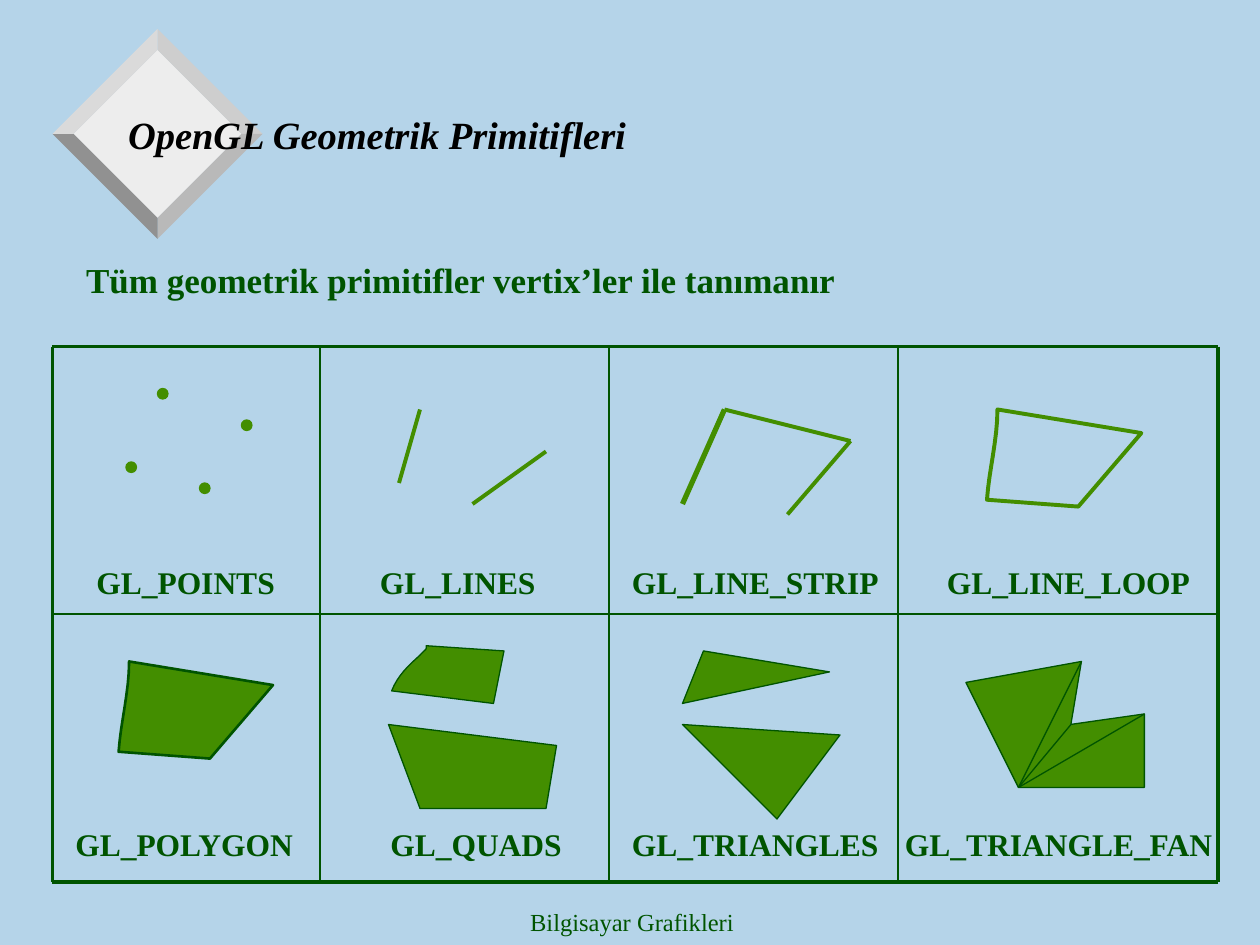
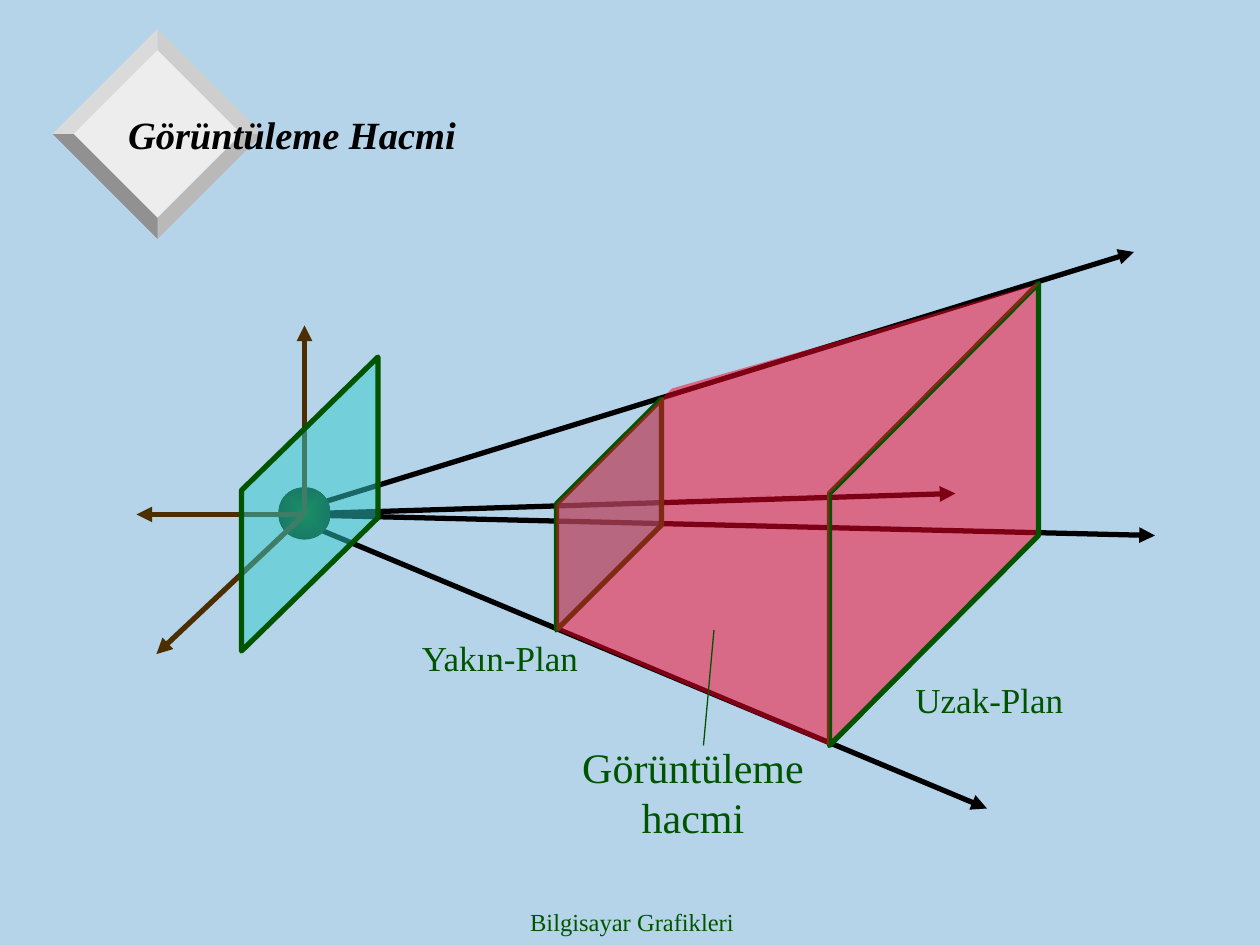
from dataclasses import dataclass

from lxml.etree import SubElement
from pptx import Presentation
from pptx.dml.color import RGBColor
from pptx.enum.shapes import MSO_CONNECTOR, MSO_SHAPE
from pptx.enum.text import MSO_ANCHOR, MSO_AUTO_SIZE, PP_ALIGN
from pptx.oxml.ns import qn
from pptx.util import Cm, Pt


@dataclass(frozen=True)
class Theme:
    """Colours, font and type sizes of the deck."""

    background: str = "B5D4E9"
    dark_green: str = "005400"
    deep_green: str = "002600"
    leaf: str = "438E00"
    black: str = "000000"
    brown: str = "4C2E00"
    turquoise: str = "33CCCC"
    red: str = "FC0128"
    diamond_face: str = "EDEDED"
    diamond_facets: tuple = ("CECECE", "B9B9B9", "919191", "DADADA")
    font: str = "Times New Roman"
    title: int = 22
    lead: int = 20
    caption: int = 18
    callout: int = 24
    footer: int = 14


THEME = Theme()
TITLE_LAYOUT, TITLE_BODY_LAYOUT = 5, 1
LEFT, CENTER = PP_ALIGN.LEFT, PP_ALIGN.CENTER


def grid(steps):
    """Return a length in grid steps, twelve to 2.54 cm."""
    return Cm(steps * 2.54 / 12)


def color(code):
    """Return the colour for a hex code."""
    return RGBColor.from_string(code)


def paint(shape, fill=None, line=None, width=0.75, opacity=None):
    """Set fill, outline and opacity of a shape and drop its shadow."""
    shape.shadow.inherit = False
    if fill:
        shape.fill.solid()
        shape.fill.fore_color.rgb = color(fill)
    else:
        shape.fill.background()
    if opacity:
        tint = shape.element.spPr.find(qn("a:solidFill"))[0]
        SubElement(tint, qn("a:alpha"), val=str(opacity * 1000))
    if line:
        shape.line.color.rgb = color(line)
        shape.line.width = Pt(width)
    else:
        shape.line.fill.background()


def outline(slide, points, **style):
    """Draw a closed outline through grid points."""
    corners = [(grid(x), grid(y)) for x, y in points]
    builder = slide.shapes.build_freeform(*corners[0])
    builder.add_line_segments(corners[1:], close=True)
    paint(builder.convert_to_shape(), **style)


def curve(start, pull_start, pull_end, end, pieces=8):
    """Return points along a cubic curve."""
    points = []
    for piece in range(pieces + 1):
        t = piece / pieces
        weights = ((1 - t) ** 3, 3 * t * (1 - t) ** 2, 3 * t * t * (1 - t), t ** 3)
        ends = zip(start, pull_start, pull_end, end)
        points.append(tuple(sum(w * v for w, v in zip(weights, axis)) for axis in ends))
    return points


def segment(slide, start, end, stroke, width, arrow=False):
    """Draw a straight line, with an arrowhead at its end if wanted."""
    ends = [grid(value) for value in (*start, *end)]
    connector = slide.shapes.add_connector(MSO_CONNECTOR.STRAIGHT, *ends)
    connector.line.color.rgb = color(stroke)
    connector.line.width = Pt(width)
    if arrow:
        SubElement(connector.line._get_or_add_ln(), qn("a:tailEnd"), type="triangle")
    SubElement(connector.element.spPr, qn("a:effectLst"))


def dot(slide, left, top, size):
    """Add a circle and return it."""
    return slide.shapes.add_shape(
        MSO_SHAPE.OVAL, grid(left), grid(top), grid(size), grid(size))


def write(frame, text, size, ink=THEME.dark_green, bold=False, italic=False, align=LEFT):
    """Write one formatted run into a text frame."""
    frame.word_wrap = True
    frame.auto_size = MSO_AUTO_SIZE.NONE
    paragraph = frame.paragraphs[0]
    paragraph.alignment = align
    paragraph.space_before = Pt(0)
    run = paragraph.add_run()
    run.text = text
    run.font.name = THEME.font
    run.font.size = Pt(size)
    run.font.bold = bold
    run.font.italic = italic
    run.font.color.rgb = color(ink)


def label(slide, text, box, size, **style):
    """Add a text box at a grid box of left, top, width and height."""
    write(slide.shapes.add_textbox(*map(grid, box)).text_frame, text, size, **style)


def place(placeholder, left, top, width, height):
    """Move a placeholder to a grid box."""
    placeholder.left, placeholder.top = grid(left), grid(top)
    placeholder.width, placeholder.height = grid(width), grid(height)


def diamond(slide):
    """Draw the bevelled diamond behind the title."""
    def tips(radius):
        return [(15 + dx * radius, 12.75 + dy * radius)
                for dx, dy in ((0, -1), (1, 0), (0, 1), (-1, 0))]

    inner, outer = tips(8), tips(10)
    outline(slide, inner, fill=THEME.diamond_face)
    for side, shade in enumerate(THEME.diamond_facets):
        following = (side + 1) % 4
        outline(slide, [inner[side], outer[side], outer[following], inner[following]],
                fill=shade)


def new_slide(deck, layout, heading):
    """Add a slide with the shared diamond, footer and title."""
    slide = deck.slides.add_slide(deck.slide_layouts[layout])
    diamond(slide)
    label(slide, "Bilgisayar Grafikleri", (41.2, 85.8, 38, 4.2), THEME.footer, align=CENTER)
    title = slide.shapes.title
    title.element.getparent().append(title.element)
    place(title, 11, 5.5, 102, 14.5)
    write(title.text_frame, heading, THEME.title, THEME.black, bold=True, italic=True)
    title.text_frame.vertical_anchor = MSO_ANCHOR.MIDDLE
    return slide


def lead_sentence(slide, text):
    """Fill the body placeholder with one sentence without a bullet."""
    body = slide.placeholders[1]
    place(body, 7, 24, 104, 10)
    properties = body.text_frame.paragraphs[0]._p.get_or_add_pPr()
    properties.set("marL", "0")
    properties.set("indent", "0")
    SubElement(properties, qn("a:buNone"))
    write(body.text_frame, text, THEME.lead, bold=True)


def ruled_frame(slide, columns, rows):
    """Rule a grid with heavy outer and thin inner lines."""
    def weight(position, positions):
        return 2.25 if position in (positions[0], positions[-1]) else 1

    for y in rows:
        segment(slide, (columns[0], y), (columns[-1], y), THEME.dark_green, weight(y, rows))
    for x in columns:
        segment(slide, (x, rows[0]), (x, rows[-1]), THEME.dark_green, weight(x, columns))


def open_primitives(slide):
    """Draw the points, the lines and the line strip."""
    for left, top in ((12, 44), (15, 37), (19, 46), (23, 40)):
        paint(dot(slide, left, top, 1), THEME.leaf, THEME.leaf)
    for start, end, width in (
        ((45, 48), (52, 43), 2.25),
        ((38, 46), (40, 39), 2.25),
        ((69, 39), (81, 42), 2.25),
        ((81, 42), (75, 49), 2.25),
        ((69, 39), (65, 48), 3),
    ):
        segment(slide, start, end, THEME.leaf, width)


def bent_quad(left, top):
    """Return the four-sided outline with a curved left side."""
    side = curve((0, 8.6), (0.2, 5.8), (1, 2.9), (1, 0))
    return [(left + x, top + y) for x, y in side + [(14.7, 2.25), (8.7, 9.25)]]


def filled_primitives(slide):
    """Draw the loop, polygon, quads, triangles and triangle fan."""
    outline(slide, bent_quad(94, 39), line=THEME.leaf, width=2.25)
    outline(slide, bent_quad(11.3, 63), fill=THEME.leaf, line=THEME.dark_green, width=1.5)
    rounded_corner = (curve((37.3, 65.8), (37.9, 64.3), (38.9, 63.4), (40, 62.4))
                      + curve((40, 62.4), (40.6, 61.7), (40.6, 62), (40.6, 61.5))[1:])
    hub = (97, 75)
    for points in (
        rounded_corner + [(48, 62), (47, 67)],
        [(37, 69), (40, 77), (52, 77), (53, 71)],
        [(67, 62), (65, 67), (79, 64)],
        [(65, 69), (74, 78), (80, 70)],
        [hub, (92, 65), (103, 63), (102, 69), (109, 68), (109, 75)],
    ):
        outline(slide, points, fill=THEME.leaf, line=THEME.dark_green)
    for rim in ((103, 63), (102, 69), (109, 68)):
        segment(slide, rim, hub, THEME.dark_green, 0.75)


def primitives_slide(deck):
    """Build the slide on geometric primitives."""
    slide = new_slide(deck, TITLE_BODY_LAYOUT, "OpenGL Geometrik Primitifleri")
    lead_sentence(slide, "Tüm geometrik primitifler vertix’ler ile tanımanır")
    ruled_frame(slide, columns=(5, 30.5, 58, 85.5, 116), rows=(33, 58.5, 84))
    open_primitives(slide)
    filled_primitives(slide)
    captions = {
        53: (("GL_POINTS", 8, 20), ("GL_LINES", 35, 18),
             ("GL_LINE_STRIP", 59, 27), ("GL_LINE_LOOP", 89, 27)),
        78: (("GL_POLYGON", 6, 24), ("GL_QUADS", 36, 19),
             ("GL_TRIANGLES", 59, 26), ("GL_TRIANGLE_FAN", 85, 33)),
    }
    for top, row in captions.items():
        for text, left, width in row:
            label(slide, text, (left, top, width, 4.8), THEME.caption, bold=True)


def upright_plane(left, bottom, height, run, rise):
    """Return a slanted plane with two vertical sides."""
    return [(left, bottom), (left, bottom - height),
            (left + run, bottom - height - rise), (left + run, bottom - rise)]


def eye(slide):
    """Draw the eye with its axes."""
    ball = dot(slide, 26.5, 46.4, 5)
    paint(ball)
    ball.fill.gradient()
    for stop, shade in zip(ball.fill.gradient_stops, (THEME.dark_green, THEME.deep_green)):
        stop.color.rgb = color(shade)
    gradient = ball.element.spPr.find(qn("a:gradFill"))
    gradient.remove(gradient.find(qn("a:lin")))
    spread = SubElement(gradient, qn("a:path"), path="rect")
    SubElement(spread, qn("a:fillToRect"), {side: "50000" for side in "ltrb"})
    for tip in ((29, 31), (14.9, 62.3), (13, 49)):
        segment(slide, (29, 49), tip, THEME.brown, 3, arrow=True)


def viewing_slide(deck):
    """Build the slide on the viewing volume."""
    slide = new_slide(deck, TITLE_LAYOUT, "Görüntüleme Hacmi")
    for ray_end in ((108, 24), (110, 51), (94, 77), (91, 47)):
        segment(slide, (27, 49), ray_end, THEME.black, 3, arrow=True)
    glass = {"line": THEME.dark_green, "width": 3, "opacity": 50}
    outline(slide, upright_plane(53, 60, 12, 10, 10), fill=THEME.turquoise, **glass)
    outline(slide, upright_plane(79, 71, 24, 19.9, 20), fill=THEME.red, **glass)
    label(slide, "Yakın-Plan", (39, 60, 19, 5.3), THEME.lead)
    label(slide, "Uzak-Plan", (86, 64, 20, 5.3), THEME.lead)
    for volume_side in (
        [(53, 48), (64, 37), (99, 27), (79, 47)],
        [(53, 48), (53, 60), (79, 71), (79, 47)],
    ):
        outline(slide, volume_side, fill=THEME.red, opacity=50)
    label(slide, "Görüntüleme hacmi", (51, 70, 30, 10.8), THEME.callout, align=CENTER)
    segment(slide, (68, 60), (67, 71), THEME.dark_green, 0.75)
    eye(slide)
    outline(slide, upright_plane(23, 62, 15.3, 13, 12.7), fill=THEME.turquoise, **glass)


def main():
    """Build and save the deck."""
    deck = Presentation()
    deck.slide_width, deck.slide_height = Cm(25.4), Cm(19.05)
    backdrop = deck.slide_master.background.fill
    backdrop.solid()
    backdrop.fore_color.rgb = color(THEME.background)
    primitives_slide(deck)
    viewing_slide(deck)
    deck.save("out.pptx")


if __name__ == "__main__":
    main()
